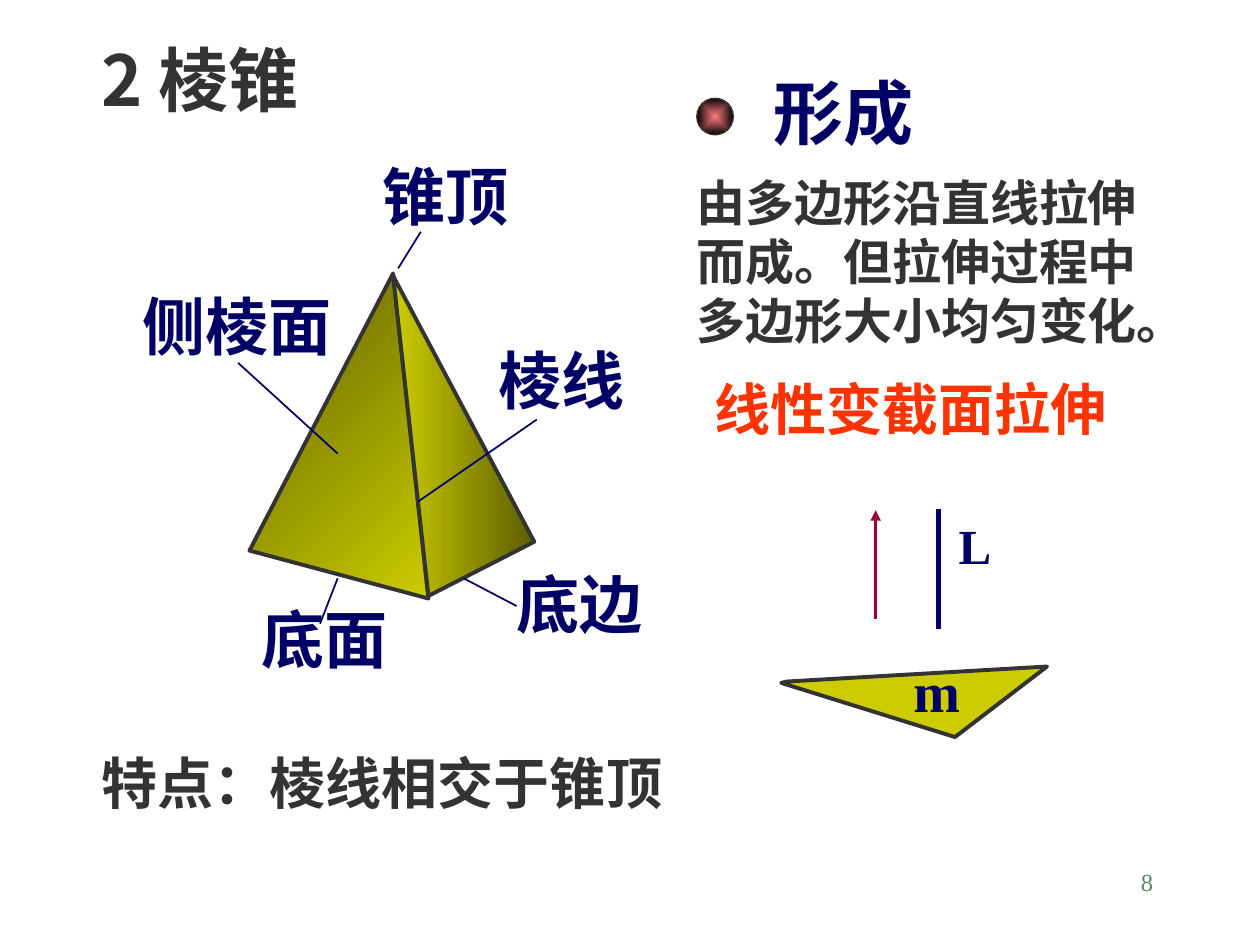
from dataclasses import dataclass

from lxml.etree import SubElement
from pptx import Presentation
from pptx.dml.color import RGBColor
from pptx.enum.shapes import MSO_CONNECTOR, MSO_SHAPE
from pptx.enum.text import MSO_ANCHOR, MSO_AUTO_SIZE, PP_ALIGN
from pptx.oxml.ns import qn
from pptx.util import Emu, Pt

PX = 9144


@dataclass(frozen=True)
class Theme:
    ink: str = "333333"
    navy: str = "000066"
    accent: str = "FF3300"
    arrow: str = "990033"
    number: str = "578963"
    face: str = "CCCC00"
    shade: str = "5E5E00"
    glow: str = "FF7C80"
    rim: str = "060303"
    latin: str = "Times New Roman"
    han: str = "Noto Sans CJK SC"
    heading: int = 40
    label: int = 36
    remark: int = 32
    body: int = 28
    small: int = 14


def px(*lengths):
    return [Emu(length * PX) for length in lengths]


def apply(target, values):
    for name, value in values.items():
        setattr(target, name, value)


class SlideBuilder:
    def __init__(self, slide, theme):
        self.shapes = slide.shapes
        self.theme = theme

    def text(self, box, content, size, color, bold=True, wrap=True,
             align=PP_ALIGN.LEFT, latin=None, fit=MSO_AUTO_SIZE.SHAPE_TO_FIT_TEXT):
        frame = self.shapes.add_textbox(*px(*box)).text_frame
        apply(frame, {"text": content, "word_wrap": wrap, "auto_size": fit,
                      "vertical_anchor": MSO_ANCHOR.TOP})
        for paragraph in frame.paragraphs:
            paragraph.alignment = align
            for run in paragraph.runs:
                apply(run.font, {"name": latin or self.theme.latin,
                                 "size": Pt(size), "bold": bold})
                run.font.color.rgb = RGBColor.from_string(color)
                SubElement(run.font._element, qn("a:ea"), typeface=self.theme.han)

    def paint(self, shape, colors, angle, width):
        shape.shadow.inherit = False
        if len(colors) == 1:
            shape.fill.solid()
            shape.fill.fore_color.rgb = RGBColor.from_string(colors[0])
        else:
            shape.fill.gradient()
            shape.fill.gradient_angle = angle
            for stop, position, color in zip(shape.fill.gradient_stops, (0, 1), colors):
                stop.position = position
                stop.color.rgb = RGBColor.from_string(color)
        shape.line.color.rgb = RGBColor.from_string(self.theme.ink)
        shape.line.width = Pt(width)

    def polygon(self, points, *colors, angle=0):
        outline = self.shapes.build_freeform(*points[0], scale=PX)
        outline.add_line_segments(points[1:], close=True)
        self.paint(outline.convert_to_shape(), colors, angle, 2.25)

    def ball(self, box, *colors):
        ball = self.shapes.add_shape(MSO_SHAPE.OVAL, *px(*box))
        self.paint(ball, colors, 0, 0.75)
        gradient = ball._element.spPr.find(qn("a:gradFill"))
        gradient.remove(gradient.find(qn("a:lin")))
        radial = SubElement(gradient, qn("a:path"), {"path": "shape"})
        SubElement(radial, qn("a:fillToRect"), dict.fromkeys("ltrb", "50000"))

    def line(self, start, end, color, width=1, arrow=False):
        line = self.shapes.add_connector(MSO_CONNECTOR.STRAIGHT, *px(*start, *end))
        line.line.color.rgb = RGBColor.from_string(color)
        line.line.width = Pt(width)
        if arrow:
            SubElement(line.line._get_or_add_ln(), qn("a:tailEnd"), type="triangle")
        SubElement(line._element.spPr, qn("a:effectLst"))


def main():
    theme = Theme()
    deck = Presentation()
    deck.slide_width, deck.slide_height = px(1000, 750)
    page = SlideBuilder(deck.slides.add_slide(deck.slide_layouts[6]), theme)

    page.text((717, 683, 208, 50), "8", theme.small, theme.number, bold=False,
              align=PP_ALIGN.RIGHT, fit=MSO_AUTO_SIZE.NONE)

    page.polygon([(620, 542), (758, 585), (831, 529), (624, 541)], theme.face)
    page.polygon([(312, 217), (198, 437), (340, 475)], theme.shade, theme.face, angle=315)
    page.polygon([(312, 219), (340, 473), (424, 430)], theme.face, theme.shade)

    page.text((71, 24, 253, 77), "2 棱锥", theme.heading, theme.ink, latin=theme.han)
    page.text((604, 50, 201, 77), "形成", theme.heading, theme.navy)
    page.ball((553, 78, 29, 29), theme.glow, theme.rim)

    part_labels = [
        ("锥顶", (294, 120, 160, 70), (334, 184), (316, 213)),
        ("侧棱面", (103, 223, 171, 70), (268, 360), (189, 288)),
        ("底面", (198, 472, 158, 70), (268, 459), (254, 495)),
        ("棱线", (386, 266, 148, 70), (332, 398), (426, 333)),
        ("底边", (400, 444, 131, 70), (368, 459), (410, 481)),
    ]
    for part, box, start, end in part_labels:
        page.text(box, part, theme.label, theme.navy)
        page.line(start, end, theme.navy)

    page.text((543, 132, 457, 150),
              "由多边形沿直线拉伸\n而成。但拉伸过程中\n多边形大小均匀变化。",
              theme.body, theme.ink)
    page.text((557, 292, 383, 63), "线性变截面拉伸", theme.remark, theme.accent)
    page.text((71, 589, 531, 63), "特点：棱线相交于锥顶", theme.remark, theme.ink)

    page.line((695, 491), (695, 405), theme.arrow, 1.5, arrow=True)
    page.line((745, 499), (745, 404), theme.navy, 3)
    page.text((751, 404, 46, 57), "L", theme.body, theme.navy, wrap=False)
    page.text((715, 516, 57, 63), "m", theme.remark, theme.navy, wrap=False)

    deck.save("out.pptx")


if __name__ == "__main__":
    main()
